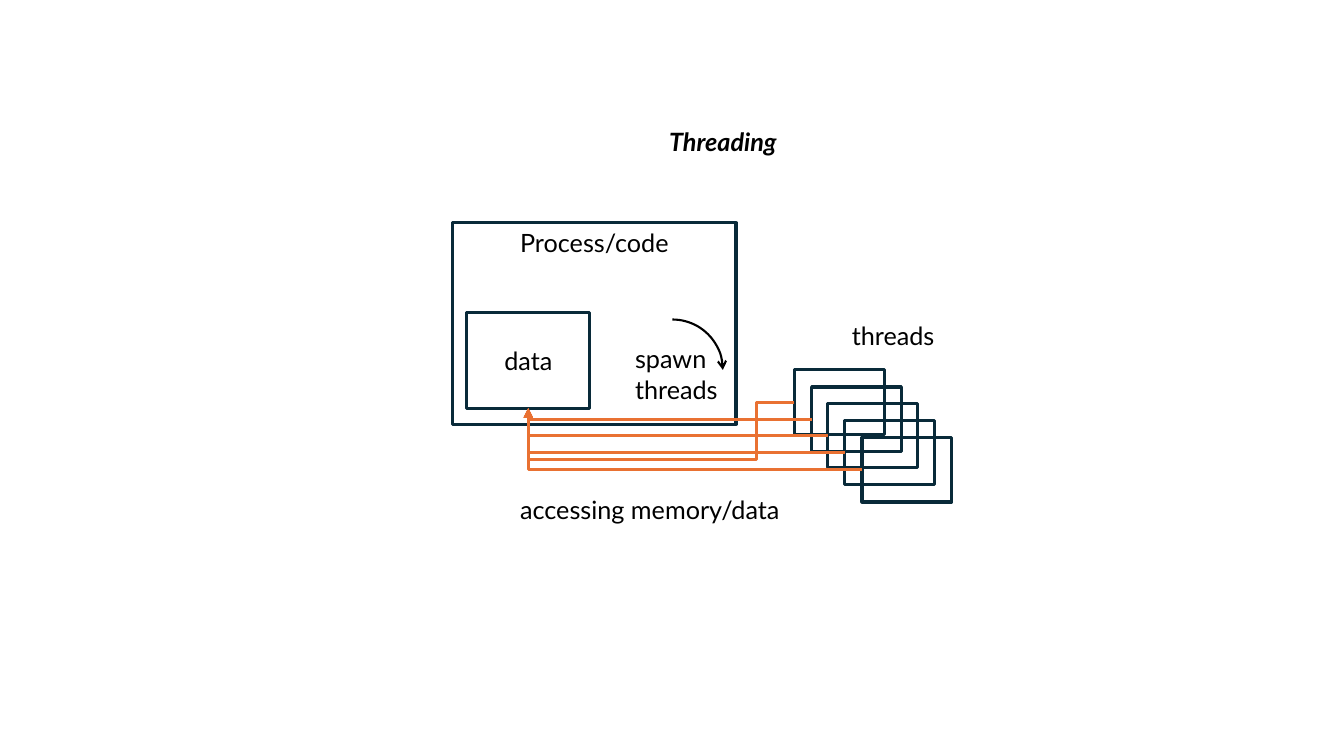
from lxml import etree
from pptx import Presentation
from pptx import util as u
from pptx.dml.color import RGBColor
from pptx.enum import shapes, text
from pptx.oxml.ns import qn

PX = 9144  # 100 px to the inch
FONT = "Lato"
COLORS = {"navy": "092A39", "orange": "E97132", "black": "000000"}


def px(*nums):
    return [u.Emu(n * PX) for n in nums]


def color(name):
    return RGBColor.from_string(COLORS[name])


def write(frame, words, align=text.PP_ALIGN.LEFT, anchor=text.MSO_ANCHOR.TOP,
          wrap=True, bold=False, italic=False):
    frame.word_wrap = wrap
    frame.vertical_anchor = anchor
    par = frame.paragraphs[0]
    par.alignment = align
    run = par.add_run()
    run.text = words
    font = run.font
    font.name, font.size = FONT, u.Pt(18)
    font.bold, font.italic = bold, italic
    font.color.rgb = color("black")


def stroke(line, name, width):
    line.color.rgb = color(name)
    line.width = u.Pt(width)


def tip(shape, kind):
    """Put an arrowhead at the end of the shape's line."""
    line = shape.line._get_or_add_ln()
    etree.SubElement(line, qn("a:tailEnd"), type=kind)


def title(slide, words, *at):
    head = slide.shapes.title
    head.left, head.top, head.width, head.height = px(*at)
    head.text_frame.auto_size = text.MSO_AUTO_SIZE.NONE
    write(head.text_frame, words, align=text.PP_ALIGN.CENTER, wrap=False,
          bold=True, italic=True)


def label(slide, words, *at, wrap=True):
    box = slide.shapes.add_textbox(*px(*at))
    write(box.text_frame, words, wrap=wrap)


def outline(slide, *at, kind=shapes.MSO_SHAPE.RECTANGLE, ink="navy", width=2.25):
    shape = slide.shapes.add_shape(kind, *px(*at))
    shape.shadow.inherit = False
    shape.fill.background()
    stroke(shape.line, ink, width)
    return shape


def access(slide, thread, data, kind="bentConnector2", **bends):
    """Lead an elbow arrow from a thread's left side to the data's bottom."""
    ends = (thread.left, thread.top + thread.height // 2,
            data.left + data.width // 2, data.top + data.height)
    arrow = slide.shapes.add_connector(shapes.MSO_CONNECTOR.ELBOW, *ends)
    arrow.begin_connect(thread, 1)
    arrow.end_connect(data, 2)
    stroke(arrow.line, "orange", 2.25)
    tip(arrow, "triangle")
    props = arrow._element.spPr
    etree.SubElement(props, qn("a:effectLst"))
    geom = props.find(qn("a:prstGeom"))
    geom.set("prst", kind)
    guides = geom.find(qn("a:avLst"))
    for name, part in bends.items():
        etree.SubElement(guides, qn("a:gd"), name=name,
                         fmla=f"val {round(part * 100000)}")


def main():
    deck = Presentation()
    deck.slide_width, deck.slide_height = px(1333, 750)
    slide = deck.slides.add_slide(deck.slide_layouts[5])
    title(slide, "Threading", 650, 120, 134, 40)

    process = outline(slide, 449, 221, 281, 200)
    write(process.text_frame, "Process/code", align=text.PP_ALIGN.CENTER)
    data = outline(slide, 463, 310, 122, 95)
    write(data.text_frame, "data", align=text.PP_ALIGN.CENTER,
          anchor=text.MSO_ANCHOR.MIDDLE)
    spawn = outline(slide, 617, 317, 100, 100, kind=shapes.MSO_SHAPE.ARC,
                    ink="black", width=1.5)
    tip(spawn, "arrow")
    label(slide, "spawn threads", 620, 336, 109, 71)

    steps = [round(i * 50 / 3) for i in range(5)]
    threads = [outline(slide, 788 + s, 367 + s, 89, 64) for s in steps]
    label(slide, "threads", 835, 313, 109, 40)

    first, *rest = threads
    access(slide, first, data, "bentConnector4", adj1=38 / 264, adj2=57 / 6)
    for thread in rest:
        access(slide, thread, data)
    label(slide, "accessing memory/data", 506, 486, 282, 40, wrap=False)

    deck.save("out.pptx")


if __name__ == "__main__":
    main()
